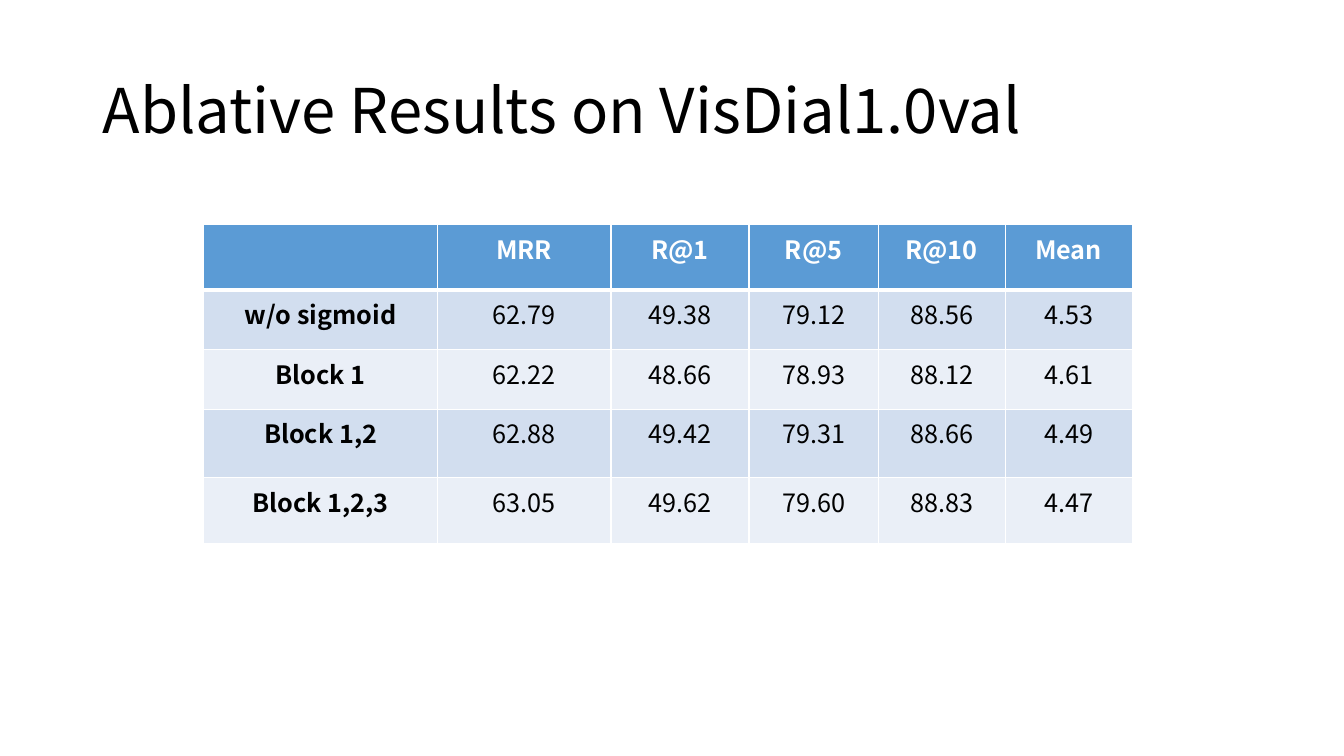
from dataclasses import dataclass

from lxml import etree
from pptx import Presentation
from pptx.dml.color import RGBColor
from pptx.enum.text import MSO_ANCHOR, PP_ALIGN
from pptx.oxml.ns import qn
from pptx.util import Inches, Pt

LEFT, CENTER = PP_ALIGN.LEFT, PP_ALIGN.CENTER
MIDDLE = MSO_ANCHOR.MIDDLE
TITLE_ONLY = 5


@dataclass(frozen=True)
class Theme:
    """Colours, font and type sizes of the slide."""
    font: str = "Noto Sans CJK SC"
    text: str = "000000"
    header_text: str = "FFFFFF"
    header_fill: str = "5B9BD5"
    band_fills: tuple = ("D2DEEF", "EAEFF7")
    rule: str = "FFFFFF"
    thin: float = 1
    thick: float = 3
    title_size: float = 44
    table_size: float = 18


THEME = Theme()

TITLE = "Ablative Results on VisDial1.0val"
TITLE_BOX = (0.92, 0.4, 11.5, 1.45)
TABLE_BOX = (2.02, 2.23, 9.21, 3.15)
COLUMN_WIDTHS = (2.32, 1.72, 1.37, 1.28, 1.26, 1.26)
ROW_HEIGHTS = (0.65, 0.59, 0.59, 0.68, 0.65)
RESULTS = (
    ("", "MRR", "R@1", "R@5", "R@10", "Mean"),
    ("w/o sigmoid", "62.79", "49.38", "79.12", "88.56", "4.53"),
    ("Block 1", "62.22", "48.66", "78.93", "88.12", "4.61"),
    ("Block 1,2", "62.88", "49.42", "79.31", "88.66", "4.49"),
    ("Block 1,2,3", "63.05", "49.62", "79.60", "88.83", "4.47"),
)


def write(frame, text, *, size, color=THEME.text, bold=False, align=LEFT, spacing=None):
    """Put one formatted paragraph into a text frame."""
    paragraph = frame.paragraphs[0]
    paragraph.alignment = align
    paragraph.line_spacing = spacing
    font = paragraph.font
    if text:
        run = paragraph.add_run()
        run.text = text
        font = run.font
    font.name = THEME.font
    font.size = Pt(size)
    font.bold = bold
    font.color.rgb = RGBColor.from_string(color)


def set_borders(cell, **widths):
    """Draw the cell's left, right, top and bottom rules in the given point widths."""
    properties = cell._tc.get_or_add_tcPr()
    for side in ("L", "R", "T", "B"):
        line = etree.SubElement(properties, qn(f"a:ln{side}"), w=str(Pt(widths.get(side, THEME.thin))))
        fill = etree.SubElement(line, qn("a:solidFill"))
        etree.SubElement(fill, qn("a:srgbClr"), val=THEME.rule)


def add_title(slide, box):
    """Place the slide title in its box."""
    title = slide.shapes.title
    title.left, title.top, title.width, title.height = map(Inches, box)
    title.text_frame.word_wrap = True
    title.text_frame.vertical_anchor = MIDDLE
    write(title.text_frame, TITLE, size=THEME.title_size, spacing=0.9)


def add_results(slide, box):
    """Place the table of results in its box."""
    table = slide.shapes.add_table(len(RESULTS), len(RESULTS[0]), *map(Inches, box)).table
    for column, width in zip(table.columns, COLUMN_WIDTHS):
        column.width = Inches(width)
    for row, height in zip(table.rows, ROW_HEIGHTS):
        row.height = Inches(height)
    for r, values in enumerate(RESULTS):
        header = r == 0
        fill = THEME.header_fill if header else THEME.band_fills[(r - 1) % 2]
        for c, value in enumerate(values):
            cell = table.cell(r, c)
            set_borders(cell, T=THEME.thick if r == 1 else THEME.thin,
                        B=THEME.thick if header else THEME.thin)
            cell.fill.solid()
            cell.fill.fore_color.rgb = RGBColor.from_string(fill)
            write(cell.text_frame, value, size=THEME.table_size, align=CENTER,
                  bold=header or c == 0, color=THEME.header_text if header else THEME.text)


def main():
    """Build the slide and save it."""
    deck = Presentation()
    deck.slide_width, deck.slide_height = Inches(13.33), Inches(7.5)
    slide = deck.slides.add_slide(deck.slide_layouts[TITLE_ONLY])
    add_title(slide, TITLE_BOX)
    add_results(slide, TABLE_BOX)
    deck.save("out.pptx")


if __name__ == "__main__":
    main()
